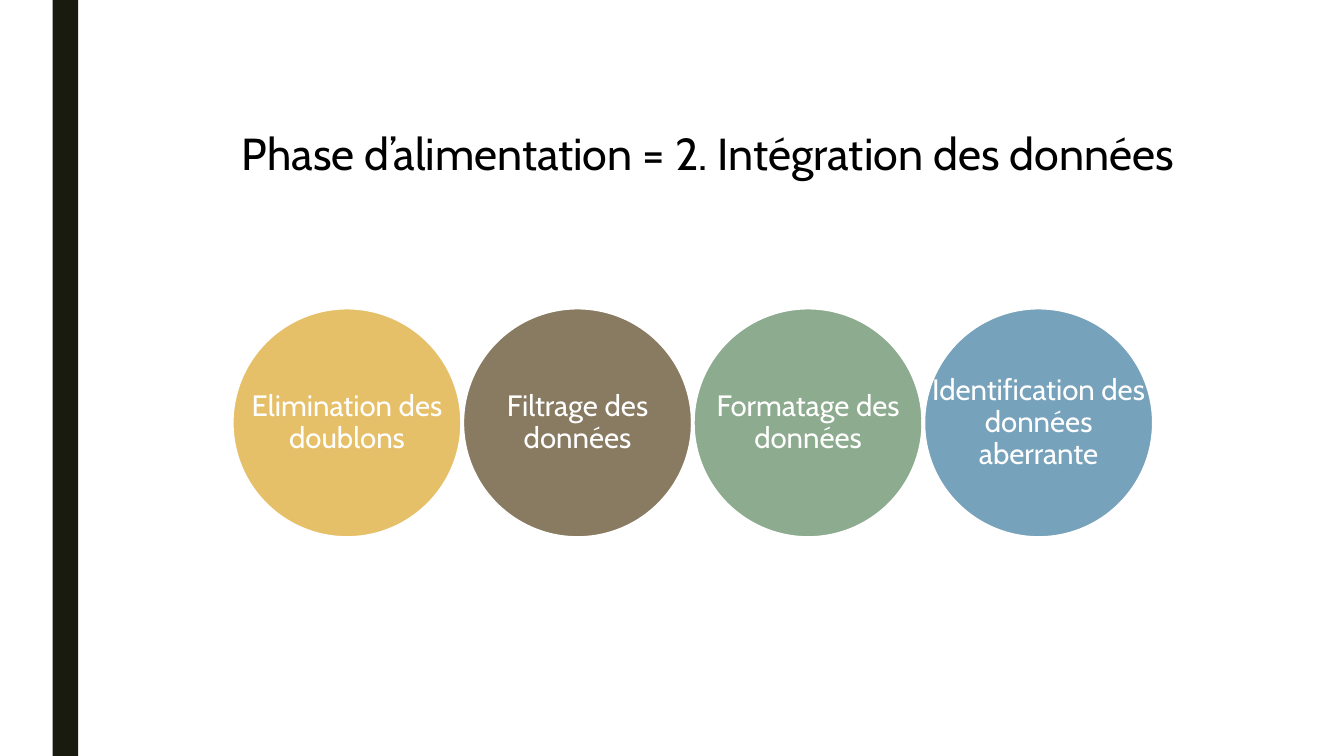
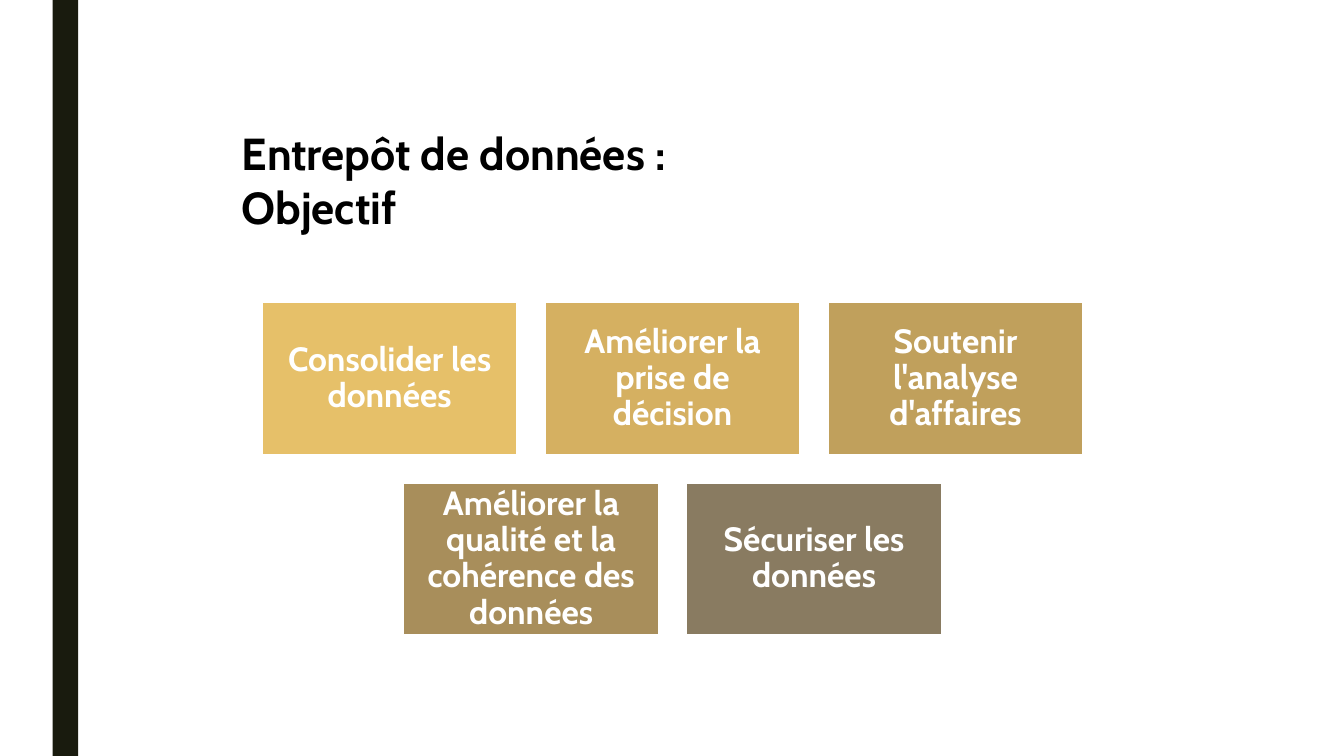
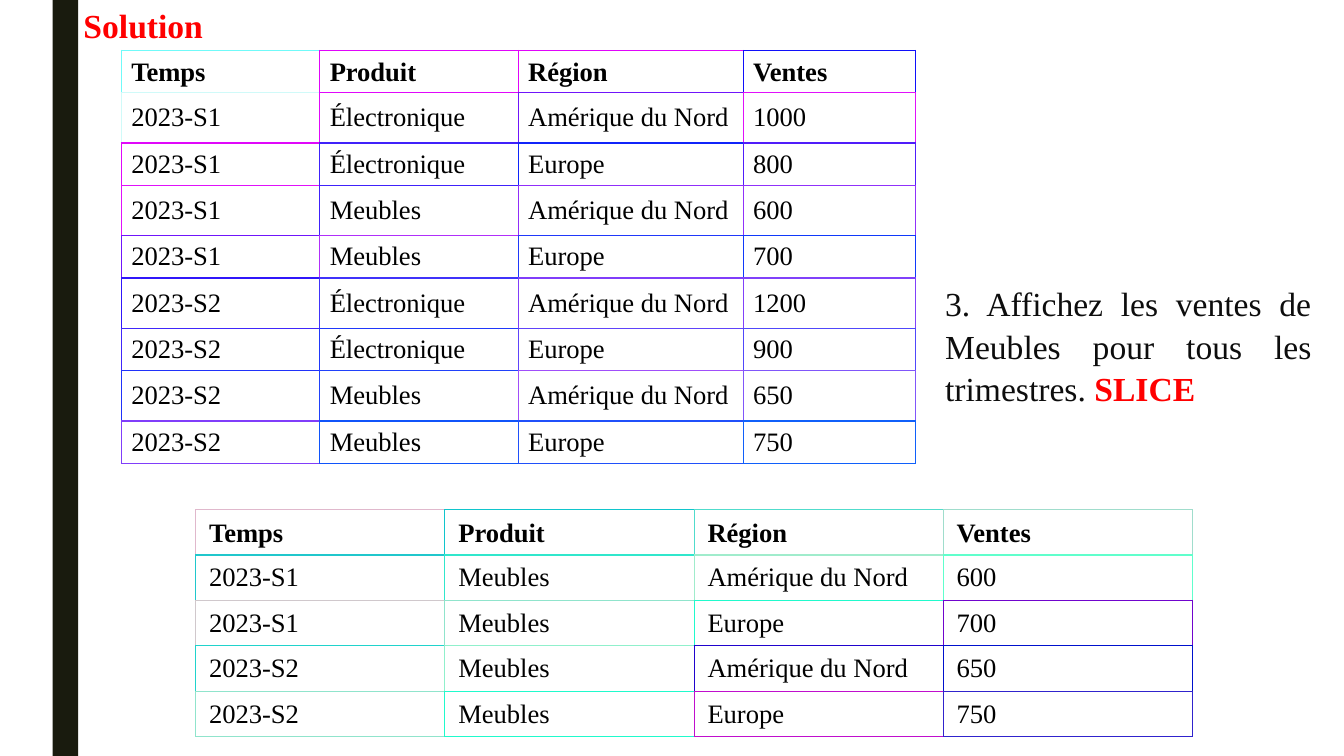
"""Build three slides on feeding, aiming and slicing a data warehouse."""
from dataclasses import dataclass

from lxml import etree
from pptx import Presentation
from pptx.dml.color import RGBColor
from pptx.enum.shapes import MSO_SHAPE
from pptx.enum.text import MSO_ANCHOR, MSO_AUTO_SIZE, PP_ALIGN
from pptx.oxml.ns import qn
from pptx.util import Cm, Pt

RECTANGLE, OVAL = MSO_SHAPE.RECTANGLE, MSO_SHAPE.OVAL
LEFT, CENTER, JUSTIFY = PP_ALIGN.LEFT, PP_ALIGN.CENTER, PP_ALIGN.JUSTIFY
TOP, MIDDLE, BOTTOM = MSO_ANCHOR.TOP, MSO_ANCHOR.MIDDLE, MSO_ANCHOR.BOTTOM
FIT_TEXT = MSO_AUTO_SIZE.SHAPE_TO_FIT_TEXT
TITLE_ONLY = 5
BAR_ID = 100


@dataclass(frozen=True)
class Theme:
    """Colours, fonts and type sizes of the deck."""
    sans: str = "Cabin"
    serif: str = "Times New Roman"
    bar: str = "191B0E"
    black: str = "000000"
    ink: str = "0D0D0D"
    white: str = "FFFFFF"
    red: str = "FF0000"
    steps: tuple = ("E6C069", "897B61", "8DAB8E", "77A2BB")
    goals: tuple = ("E6C069", "D5B061", "C0A05C", "A88E5B", "897B61")
    sales_grid: tuple = (
        "70FAF9 E005FA E005FA 100FFA",
        "D0FAF9 E008FA 7015FA E011FA",
        "E008FA 4021FA 1024FA 501DFA",
        "E011FA 4021FA 902EFA 9031FA",
        "7015FA B02FFA 2038FA 1039FA",
        "3016FA 4033FA 803EFA 8041FA",
        "4027FA 2038FA 6043FA 5047FA",
        "2032FA 2041FA A04EFA 8056FA",
        "803EFA 1054FA 2050FA 1060FA",
    )
    slice_grid: tuple = (
        "E0B8CC 10C5CC 50DCCC A0DDCC",
        "20C7CC 30E7CC A0ECCC 60FFCC",
        "D0C8CC 90E4CC 20FACC 7004CD",
        "20D3CC 90F0CC 2003CD 0011CD",
        "90E4CC 20FACC C00ECD 3023CD",
    )
    title_size: float = 32
    text_size: float = 24
    step_size: float = 21
    cell_size: float = 19
    outline: float = 2.75
    edge: float = 0.75
    inner_edge: float = 1


THEME = Theme()
HEADER = ("Temps", "Produit", "Région", "Ventes")
SALES = (
    ("2023-S1", "Électronique", "Amérique du Nord", "1000"),
    ("2023-S1", "Électronique", "Europe", "800"),
    ("2023-S1", "Meubles", "Amérique du Nord", "600"),
    ("2023-S1", "Meubles", "Europe", "700"),
    ("2023-S2", "Électronique", "Amérique du Nord", "1200"),
    ("2023-S2", "Électronique", "Europe", "900"),
    ("2023-S2", "Meubles", "Amérique du Nord", "650"),
    ("2023-S2", "Meubles", "Europe", "750"),
)
STEPS = ("Elimination des doublons", "Filtrage des données",
         "Formatage des données", "Identification des données aberrante")
GOALS = ("Consolider les données", "Améliorer la prise de décision",
         "Soutenir l'analyse d'affaires",
         "Améliorer la qualité et la cohérence des données",
         "Sécuriser les données")


def style_font(font, face, size, color, bold=False):
    """Set face, size, colour and weight of a font."""
    font.name, font.size, font.bold = face, Pt(size), bold
    font.color.rgb = RGBColor.from_string(color)


def set_margins(frame, side, upright):
    """Set the side and the top and bottom margins in centimetres."""
    frame.margin_left = frame.margin_right = Cm(side)
    frame.margin_top = frame.margin_bottom = Cm(upright)


def add_block(slide, kind, box, fill):
    """Add a filled preset shape without line or shadow."""
    block = slide.shapes.add_shape(kind, *map(Cm, box))
    block.shadow.inherit = False
    block.fill.solid()
    block.fill.fore_color.rgb = RGBColor.from_string(fill)
    block.line.fill.background()
    return block


def add_card(slide, kind, box, fill):
    """Add a block with the white outline of the diagrams."""
    card = add_block(slide, kind, box, fill)
    card.line.color.rgb = RGBColor.from_string(THEME.white)
    card.line.width = Pt(THEME.outline)
    return card


def write_label(frame, text, size, margin, bold=False):
    """Write a centred white label with tight lines."""
    frame.word_wrap = True
    frame.vertical_anchor = MIDDLE
    set_margins(frame, margin, margin)
    frame.text = text
    label = frame.paragraphs[0]
    label.alignment, label.line_spacing = CENTER, 0.9
    style_font(label.runs[0].font, THEME.sans, size, THEME.white, bold)


def add_master_bar(prs, slide):
    """Place the dark vertical bar on the slide master."""
    bar = add_block(slide, RECTANGLE, (1.33, 0, 0.64, 19.05), THEME.bar)
    bar.element.nvSpPr.cNvPr.set("id", str(BAR_ID))
    prs.slide_master.shapes.element.insert(2, bar.element)


def add_titled_slide(prs, text, box, face=THEME.sans, size=THEME.title_size,
                     color=THEME.black, bold=False):
    """Add a slide and fill its title placeholder."""
    slide = prs.slides.add_slide(prs.slide_layouts[TITLE_ONLY])
    title = slide.shapes.title
    title.left, title.top, title.width, title.height = map(Cm, box)
    frame = title.text_frame
    frame.text = text
    frame.word_wrap = True
    frame.auto_size = FIT_TEXT
    frame.vertical_anchor = TOP
    frame.paragraphs[0].alignment = LEFT
    style_font(frame.paragraphs[0].runs[0].font, face, size, color, bold)
    return slide


def add_steps(slide):
    """Add the row of touching circles."""
    left, top, diameter = 5.84, 7.75, 5.81
    for index, (text, fill) in enumerate(zip(STEPS, THEME.steps)):
        box = (left + index * diameter, top, diameter, diameter)
        add_card(slide, OVAL, box, fill)
        label = slide.shapes.add_textbox(*map(Cm, box))
        write_label(label.text_frame, text, THEME.step_size, 0)


def add_goals(slide):
    """Add the goal cards in centred rows of three."""
    center, top, width, height, gap, per_row = 16.95, 7.6, 6.48, 3.89, 0.65, 3
    for index, (text, fill) in enumerate(zip(GOALS, THEME.goals)):
        row, column = divmod(index, per_row)
        count = min(per_row, len(GOALS) - row * per_row)
        left = center - (count * (width + gap) - gap) / 2
        box = (left + column * (width + gap), top + row * (height + gap),
               width, height)
        card = add_card(slide, RECTANGLE, box, fill)
        write_label(card.text_frame, text, THEME.text_size, 0.25, True)


def add_edge(cell, side, color, width):
    """Draw one border of a table cell."""
    line = etree.SubElement(cell._tc.get_or_add_tcPr(), qn(f"a:ln{side}"),
                            w=str(Pt(width)))
    paint = etree.SubElement(line, qn("a:solidFill"))
    etree.SubElement(paint, qn("a:srgbClr"), val=color)


def draw_edges(cell, grid, row, column):
    """Border a cell in its own colour and those of the next cells."""
    own = grid[row][column]
    last_row, last_column = len(grid) - 1, len(grid[0]) - 1
    right = grid[row][min(column + 1, last_column)]
    below = grid[min(row + 1, last_row)][column]
    add_edge(cell, "L", own, THEME.edge)
    add_edge(cell, "R", right, THEME.edge)
    add_edge(cell, "T", own, THEME.inner_edge if row else THEME.edge)
    add_edge(cell, "B", below,
             THEME.inner_edge if row < last_row else THEME.edge)


def add_sales_table(slide, corner, widths, heights, records, edge_rows,
                    margins, fill=None):
    """Add a sales table with a bold header and coloured borders."""
    rows = (HEADER, *records)
    grid = [edges.split() for edges in edge_rows]
    table = slide.shapes.add_table(
        len(rows), len(HEADER), *map(Cm, corner),
        Cm(sum(widths)), Cm(sum(heights))).table
    table.first_row = table.horz_banding = False
    for column, width in zip(table.columns, widths):
        column.width = Cm(width)
    for row, height in zip(table.rows, heights):
        row.height = Cm(height)
    for r, record in enumerate(rows):
        for c, text in enumerate(record):
            cell = table.cell(r, c)
            draw_edges(cell, grid, r, c)
            if fill:
                cell.fill.solid()
                cell.fill.fore_color.rgb = RGBColor.from_string(fill)
            else:
                cell.fill.background()
            set_margins(cell, *margins)
            cell.vertical_anchor = MIDDLE if r else BOTTOM
            cell.text_frame.text = text
            style_font(cell.text_frame.paragraphs[0].runs[0].font,
                       THEME.serif, THEME.cell_size, THEME.black, r == 0)


def add_question(slide):
    """Add the question with its operation in red."""
    box = slide.shapes.add_textbox(Cm(23.57), Cm(6.96), Cm(9.73), Cm(4.14))
    frame = box.text_frame
    frame.word_wrap = True
    question = frame.paragraphs[0]
    question.alignment, question.line_spacing = JUSTIFY, 1.05
    for text, color, bold in (
            ("3. Affichez les ventes de Meubles pour tous les trimestres. ",
             THEME.ink, False),
            ("SLICE", THEME.red, True)):
        run = question.add_run()
        run.text = text
        style_font(run.font, THEME.serif, THEME.text_size, color, bold)


def main():
    """Build and save the deck."""
    prs = Presentation()
    prs.slide_width, prs.slide_height = Cm(33.87), Cm(19.05)

    feeding = add_titled_slide(
        prs, "Phase d’alimentation = 2. Intégration des données",
        (5.84, 3.05, 24.87, 1.63))
    add_master_bar(prs, feeding)
    add_steps(feeding)

    aims = add_titled_slide(prs, "Entrepôt de données : Objectif",
                            (5.84, 3.05, 15.09, 1.63), bold=True)
    add_goals(aims)

    solution = add_titled_slide(prs, "Solution", (1.85, 0, 3.76, 1.27),
                                THEME.serif, THEME.text_size, THEME.red, True)
    add_sales_table(solution, (3.06, 1.27), (5, 5, 5.67, 4.34),
                    [1.27 if r % 2 else 1.06 for r in range(len(SALES) + 1)],
                    SALES, THEME.sales_grid, (0.25, 0.13))
    add_question(solution)
    furniture = [sale for sale in SALES if sale[1] == "Meubles"]
    add_sales_table(solution, (4.93, 12.84), [6.28] * len(HEADER),
                    [1.14] * (len(furniture) + 1), furniture,
                    THEME.slice_grid, (0.34, 0.17), THEME.white)

    prs.save("out.pptx")


if __name__ == "__main__":
    main()
